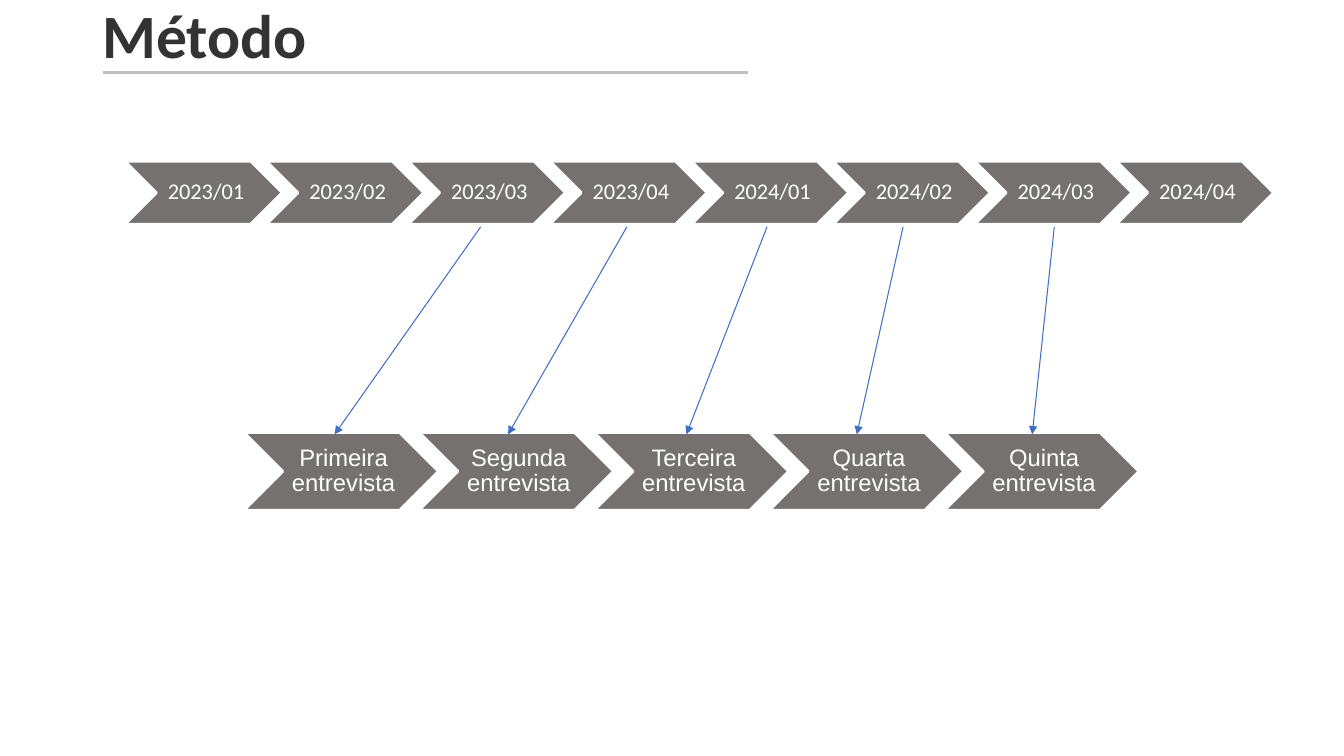
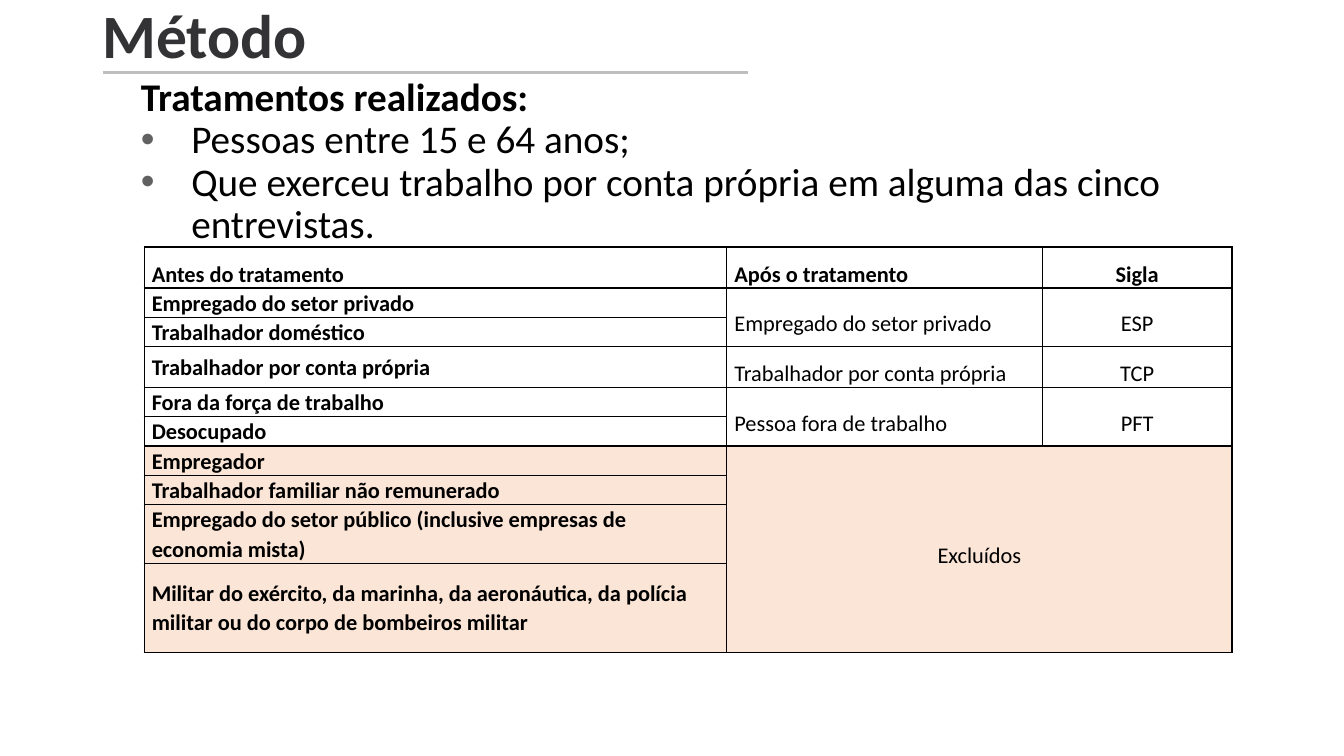
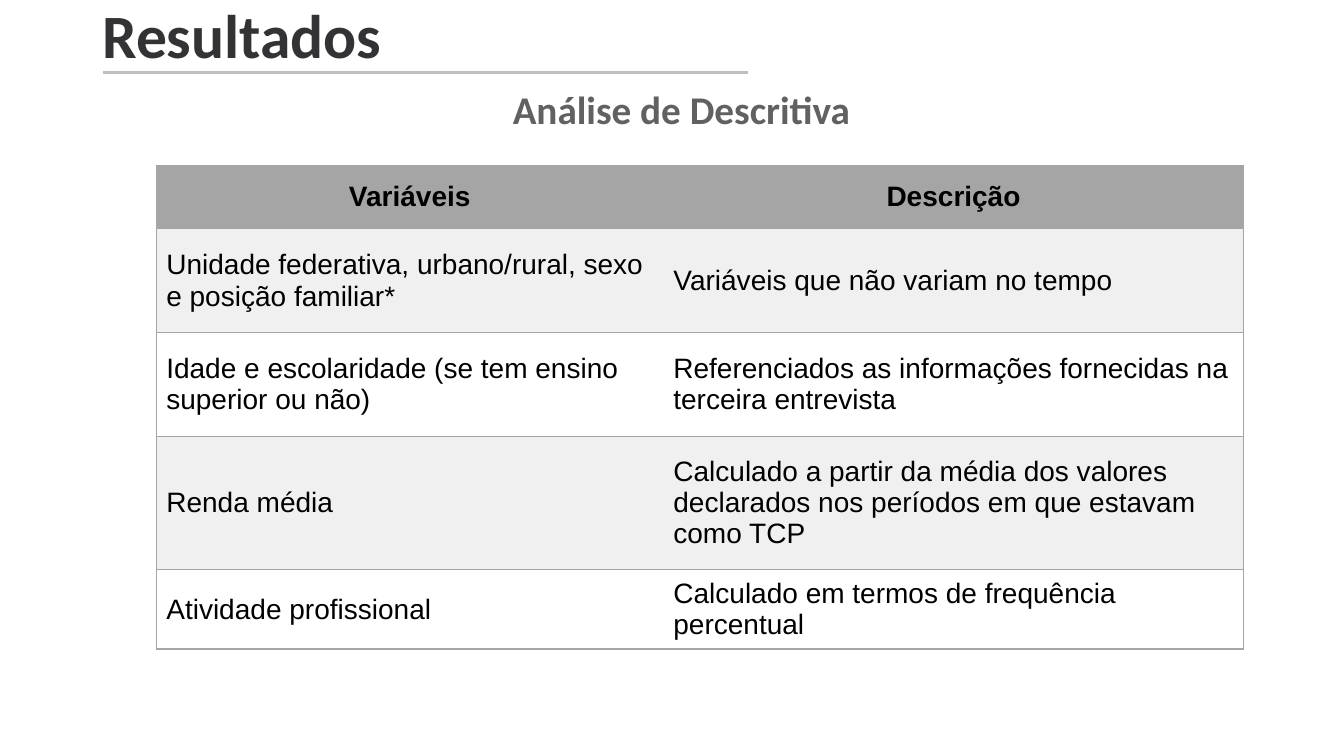
"""Build three slides on the method and results of a labour survey study."""
from dataclasses import dataclass

import pptx
import pptx.dml.color
import pptx.enum.shapes
import pptx.enum.text
import pptx.oxml.ns
import pptx.oxml.xmlchemy
import pptx.util
from lxml import etree

Pt = pptx.util.Pt
ALIGN = pptx.enum.text.PP_ALIGN
ANCHOR = pptx.enum.text.MSO_ANCHOR
qn = pptx.oxml.ns.qn


@dataclass(frozen=True)
class Theme:
    """Colours, fonts and type sizes shared by the slides."""
    title: str = "333335"
    rule: str = "BFBFBF"
    chevron: str = "767171"
    arrow: str = "3F6FC3"
    muted: str = "616161"
    excluded: str = "FBE5D6"
    header: str = "A5A5A5"
    band: str = "F0F0F0"
    white: str = "FFFFFF"
    black: str = "000000"
    sans: str = "Calibri"
    alt: str = "Arial"
    title_size: float = 44
    body_size: float = 28
    variable_size: float = 20
    interview_size: float = 17
    small_size: float = 16


T = Theme()

QUARTERS = [f"{year}/{n:02d}" for year in (2023, 2024) for n in range(1, 5)]
INTERVIEWS = [f"{n} entrevista" for n in
              ("Primeira", "Segunda", "Terceira", "Quarta", "Quinta")]
ARROWS = [(343.4, 239), (447.8, 362.9), (547.9, 490.3), (645.1, 612), (753.1, 737.3)]

TREATMENTS = [
    ("Antes do tratamento", "Após o tratamento", "Sigla"),
    ("Empregado do setor privado", "Empregado do setor privado", "ESP"),
    ("Trabalhador doméstico", "", ""),
    ("Trabalhador por conta própria", "Trabalhador por conta própria", "TCP"),
    ("Fora da força de trabalho", "Pessoa fora de trabalho", "PFT"),
    ("Desocupado", "", ""),
    ("Empregador", "Excluídos", ""),
    ("Trabalhador familiar não remunerado", "", ""),
    ("Empregado do setor público (inclusive empresas de economia mista)", "", ""),
    ("Militar do exército, da marinha, da aeronáutica, da polícia militar "
     "ou do corpo de bombeiros militar", "", ""),
]
MERGES = [(1, 1, 2, 1), (1, 2, 2, 2), (4, 1, 5, 1), (4, 2, 5, 2), (6, 1, 9, 2)]
FIRST_EXCLUDED = 6

VARIABLES = [
    ("Variáveis", "Descrição"),
    ("Unidade federativa, urbano/rural, sexo e posição familiar*",
     "Variáveis que não variam no tempo"),
    ("Idade e escolaridade (se tem ensino superior ou não)",
     "Referenciados as informações fornecidas na terceira entrevista"),
    ("Renda média",
     "Calculado a partir da média dos valores declarados nos períodos "
     "em que estavam como TCP"),
    ("Atividade profissional", "Calculado em termos de frequência percentual"),
]


def rgb(color):
    """Return the colour object for a hex string."""
    return pptx.dml.color.RGBColor.from_string(color)


def sub(parent, tag, **attrs):
    """Append a DrawingML child element."""
    return etree.SubElement(parent, qn(tag), attrs)


def write(tf, text, *, size, font=T.sans, color=T.black, bold=False,
          align=ALIGN.LEFT, spacing=None, indent=None, bullet=None):
    """Write one formatted paragraph into a text frame."""
    p = tf.add_paragraph() if tf.text else tf.paragraphs[0]
    p.alignment = align
    p.line_spacing = spacing
    r = p.add_run()
    r.text = text
    r.font.size = Pt(size)
    r.font.name = font
    r.font.bold = bold
    r.font.color.rgb = rgb(color)
    pPr = p._p.get_or_add_pPr()
    if indent:
        left, first = indent
        pPr.set("marL", str(Pt(left)))
        pPr.set("indent", str(Pt(first)))
    if bullet:
        sub(sub(pPr, "a:buClr"), "a:srgbClr", val=bullet)
        sub(pPr, "a:buFont", typeface=T.alt)
        sub(pPr, "a:buChar", char="•")


def text_box(s, x, y, w, h):
    """Add a wrapping text box and return its text frame."""
    tf = s.shapes.add_textbox(Pt(x), Pt(y), Pt(w), Pt(h)).text_frame
    tf.word_wrap = True
    return tf


def line(s, x1, y1, x2, y2, color, width, arrow=False):
    """Add a straight line, with an arrowhead at its end if asked."""
    c = s.shapes.add_connector(pptx.enum.shapes.MSO_CONNECTOR.STRAIGHT,
                               Pt(x1), Pt(y1), Pt(x2), Pt(y2))
    c.line.color.rgb = rgb(color)
    c.line.width = Pt(width)
    if arrow:
        sub(c.line._get_or_add_ln(), "a:tailEnd", type="triangle")
    sub(c._element.spPr, "a:effectLst")


def titled_slide(prs, title):
    """Add a blank slide with the shared title and rule."""
    s = prs.slides.add_slide(prs.slide_layouts[6])
    write(text_box(s, 66, 0, 828, 104), title, size=T.title_size,
          color=T.title, bold=True, spacing=0.9)
    line(s, 73.4, 51.8, 534.2, 51.8, T.rule, 2.25)
    return s


def chevron_row(s, labels, x, y, width, **fmt):
    """Add a row of labelled chevrons, each overlapping the next by a tenth."""
    for i, label in enumerate(labels):
        sp = s.shapes.add_shape(pptx.enum.shapes.MSO_SHAPE.CHEVRON,
                                Pt(x + 0.9 * width * i), Pt(y),
                                Pt(width), Pt(0.4 * width))
        sp.shadow.inherit = False
        sp.fill.solid()
        sp.fill.fore_color.rgb = rgb(T.chevron)
        sp.line.color.rgb = rgb(T.white)
        sp.line.width = Pt(2)
        tf = sp.text_frame
        tf.word_wrap = True
        tf.vertical_anchor = ANCHOR.MIDDLE
        tf.margin_left = Pt(5)
        tf.margin_right = tf.margin_top = tf.margin_bottom = Pt(1.4)
        write(tf, label, color=T.white, align=ALIGN.CENTER, spacing=0.9, **fmt)


def table(s, x, y, widths, heights):
    """Add an unbanded table with the given column widths and row heights."""
    t = s.shapes.add_table(len(heights), len(widths), Pt(x), Pt(y),
                           Pt(sum(widths)), Pt(sum(heights))).table
    t.first_row = t.horz_banding = False
    for col, w in zip(t.columns, widths):
        col.width = Pt(w)
    for row, h in zip(t.rows, heights):
        row.height = Pt(h)
    return t


def style_cell(cell, fill, border, sides="LRTB"):
    """Set a cell's fill and anchor, and draw its borders on the named sides."""
    tcPr = cell._tc.get_or_add_tcPr()
    for side in "LRTB":
        ln = sub(tcPr, f"a:ln{side}", w=str(Pt(1)))
        if side in sides:
            sub(sub(ln, "a:solidFill"), "a:srgbClr", val=border)
        else:
            sub(ln, "a:noFill")
    cell.fill.solid()
    cell.fill.fore_color.rgb = rgb(fill)
    cell.vertical_anchor = ANCHOR.MIDDLE


def timeline_slide(prs):
    """Build the slide that maps quarters to interviews."""
    s = titled_slide(prs, "Método")
    chevron_row(s, QUARTERS, 89.2, 115.2, 112.4, size=T.small_size)
    chevron_row(s, INTERVIEWS, 174.2, 308.9, 139, size=T.interview_size, font=T.alt)
    for start, end in ARROWS:
        line(s, start, 162, end, 310.3, T.arrow, 0.75, arrow=True)


def treatment_slide(prs):
    """Build the slide on sample treatment."""
    s = titled_slide(prs, "Método")
    short, tall = 20.9, 29.3
    t = table(s, 103, 176.4, [416.2, 225.4, 135.4],
              [tall, short, short, tall] + [short] * 4 + [42, 63.6])
    for i, row in enumerate(TREATMENTS):
        for j, text in enumerate(row):
            cell = t.cell(i, j)
            style_cell(cell, T.excluded if i >= FIRST_EXCLUDED else T.white, T.black)
            cell.margin_left = cell.margin_right = Pt(5.4)
            cell.margin_top = cell.margin_bottom = 0
            centred = j == 2 or (j == 1 and i == FIRST_EXCLUDED)
            if text:
                write(cell.text_frame, text, size=T.small_size,
                      bold=i == 0 or j == 0,
                      align=ALIGN.CENTER if centred else ALIGN.LEFT,
                      spacing=1.07 if i and j == 0 else 1.5)
    for top, left, bottom, right in MERGES:
        t.cell(top, left).merge(t.cell(bottom, right))
    tf = text_box(s, 79.9, 51.8, 844.6, 298.8)
    write(tf, "Tratamentos realizados:", size=T.body_size, bold=True,
          spacing=0.9, indent=(18, -4.3))
    for item in ("Pessoas entre 15 e 64 anos;",
                 "Que exerceu trabalho por conta própria em alguma das cinco entrevistas."):
        write(tf, item, size=T.body_size, spacing=0.9, indent=(49.7, -36),
              bullet=T.muted)


def variables_slide(prs):
    """Build the slide that describes the variables."""
    s = titled_slide(prs, "Resultados")
    write(text_box(s, 91.4, 61.2, 776.9, 56.2), "Análise de Descritiva",
          size=T.body_size, color=T.muted, bold=True, align=ALIGN.CENTER,
          spacing=0.9, indent=(18, -4.3))
    t = table(s, 111.6, 118, [362.2, 414.7], [45.4, 74.2, 74.2, 95, 56.9])
    for i, row in enumerate(VARIABLES):
        fill = T.header if i == 0 else T.band if i % 2 else T.white
        for j, text in enumerate(row):
            style_cell(t.cell(i, j), fill, T.header, ("LTB", "RTB")[j])
            write(t.cell(i, j).text_frame, text, size=T.variable_size,
                  font=T.alt, bold=i == 0,
                  align=ALIGN.LEFT if i else ALIGN.CENTER)


def main():
    """Build and save the presentation."""
    prs = pptx.Presentation()
    prs.slide_width, prs.slide_height = Pt(960), Pt(540)
    timeline_slide(prs)
    treatment_slide(prs)
    variables_slide(prs)
    prs.save("out.pptx")


if __name__ == "__main__":
    main()
